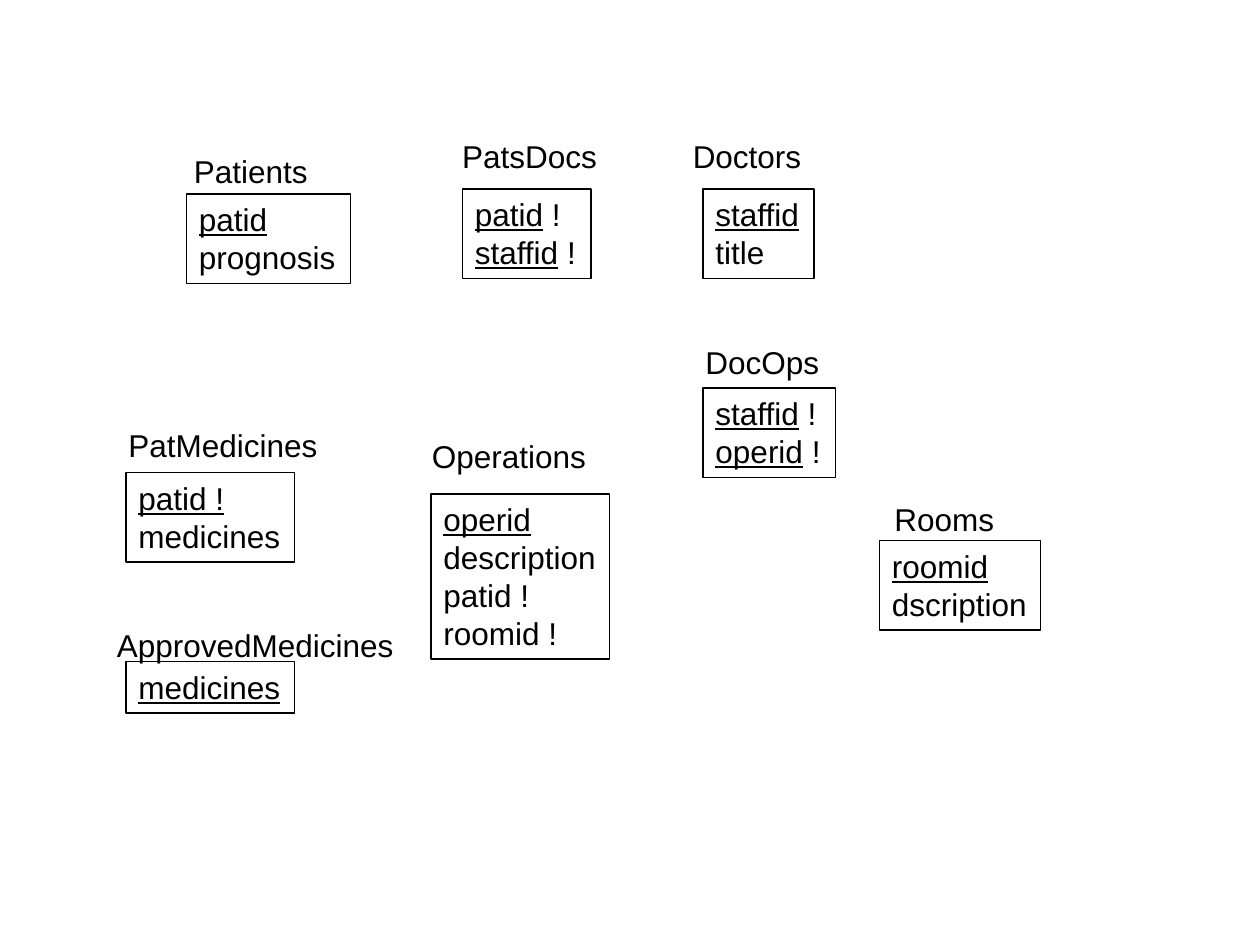
"""Build a slide showing the tables of a hospital database with their keys."""
from pptx import Presentation, util as u
from pptx.dml.color import RGBColor
from pptx.enum import shapes, text

PX = 9144
SIZE = (1000, 750)
BLACK = RGBColor(0, 0, 0)
FONT = "Arial"
HEAD = 40
ROW = 30
PAD = 11

# name, label (left, top, width), box (left, top, width), fields (key, rest)
TABLES = [
    ("Patients", (144, 116, 114), (148, 154, 130),
     [("patid", ""), ("", "prognosis")]),
    ("Doctors", (540, 104, 106), (558, 150, 88),
     [("staffid", ""), ("", "title")]),
    ("PatsDocs", (357, 104, 127), (367, 150, 102),
     [("patid", " !"), ("staffid", " !")]),
    ("Operations", (333, 342, 142), (342, 392, 142),
     [("operid", ""), ("", "description"), ("", "patid !"), ("", "roomid !")]),
    ("Rooms", (700, 392, 99), (698, 429, 128),
     [("roomid", ""), ("", "dscription")]),
    ("DocOps", (550, 267, 110), (558, 308, 105),
     [("staffid", " !"), ("operid", " !")]),
    ("PatMedicines", (92, 333, 170), (100, 375, 134),
     [("patid !", ""), ("", "medicines")]),
    ("ApprovedMedicines", (83, 492, 240), (100, 525, 134),
     [("medicines", "")]),
]


def style(run, key=False):
    """Give a run its font, and a line below if it is a key."""
    font = run.font
    font.name, font.size = FONT, u.Pt(18)
    font.color.rgb = BLACK
    font.underline = key


def fit(frame):
    """Let a shape grow with text that does not wrap."""
    frame.word_wrap = False
    frame.auto_size = text.MSO_AUTO_SIZE.SHAPE_TO_FIT_TEXT
    frame.vertical_anchor = text.MSO_ANCHOR.TOP


def add_label(slide, name, place):
    """Write the name of a table."""
    left, top, wide = place
    label = slide.shapes.add_textbox(left * PX, top * PX, wide * PX, HEAD * PX)
    frame = label.text_frame
    frame.text = name
    fit(frame)
    style(frame.paragraphs[0].runs[0])


def add_box(slide, place, fields):
    """Draw a table's frame with one line for each field."""
    left, top, wide = place
    high = PAD + ROW * len(fields)
    box = slide.shapes.add_shape(shapes.MSO_SHAPE.RECTANGLE, left * PX,
                                 top * PX, wide * PX, high * PX)
    box.shadow.inherit = False
    box.fill.background()
    box.line.color.rgb = BLACK
    box.line.width = u.Pt(0.75)
    frame = box.text_frame
    fit(frame)
    for i, (key, rest) in enumerate(fields):
        para = frame.add_paragraph() if i else frame.paragraphs[0]
        para.alignment = text.PP_ALIGN.LEFT
        for part, mark in ((key, True), (rest, False)):
            if part:
                run = para.add_run()
                run.text = part
                style(run, mark)


def main():
    """Make and save the slide."""
    deck = Presentation()
    deck.slide_width, deck.slide_height = (side * PX for side in SIZE)
    slide = deck.slides.add_slide(deck.slide_layouts[6])
    for name, label, box, fields in TABLES:
        add_label(slide, name, label)
        add_box(slide, box, fields)
    deck.save("out.pptx")


if __name__ == "__main__":
    main()
